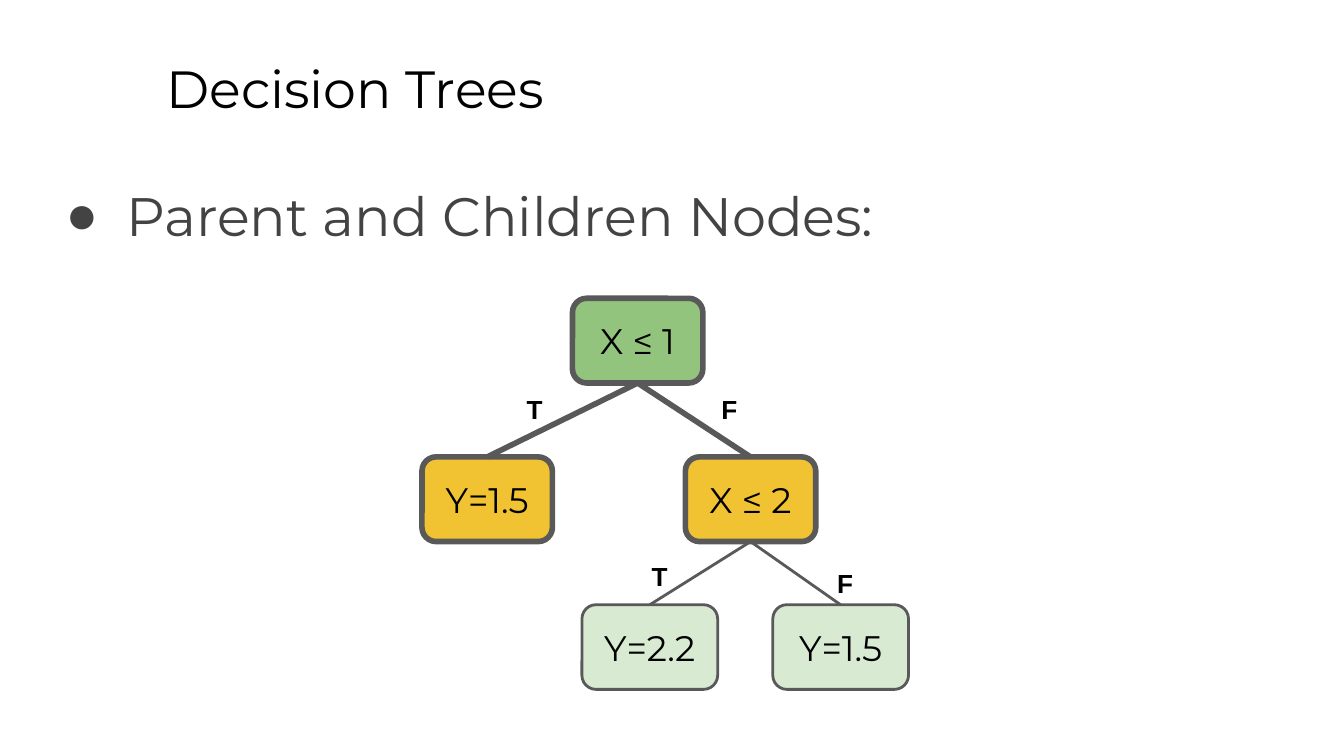
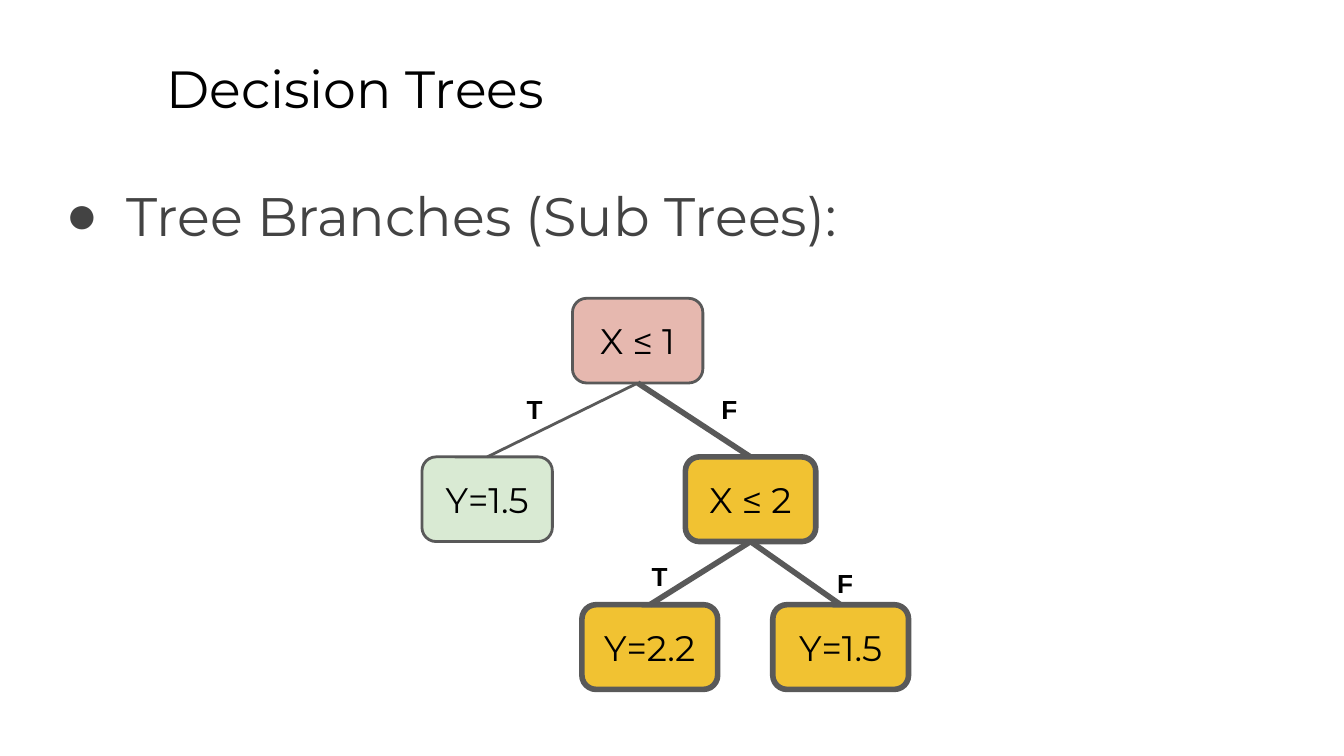
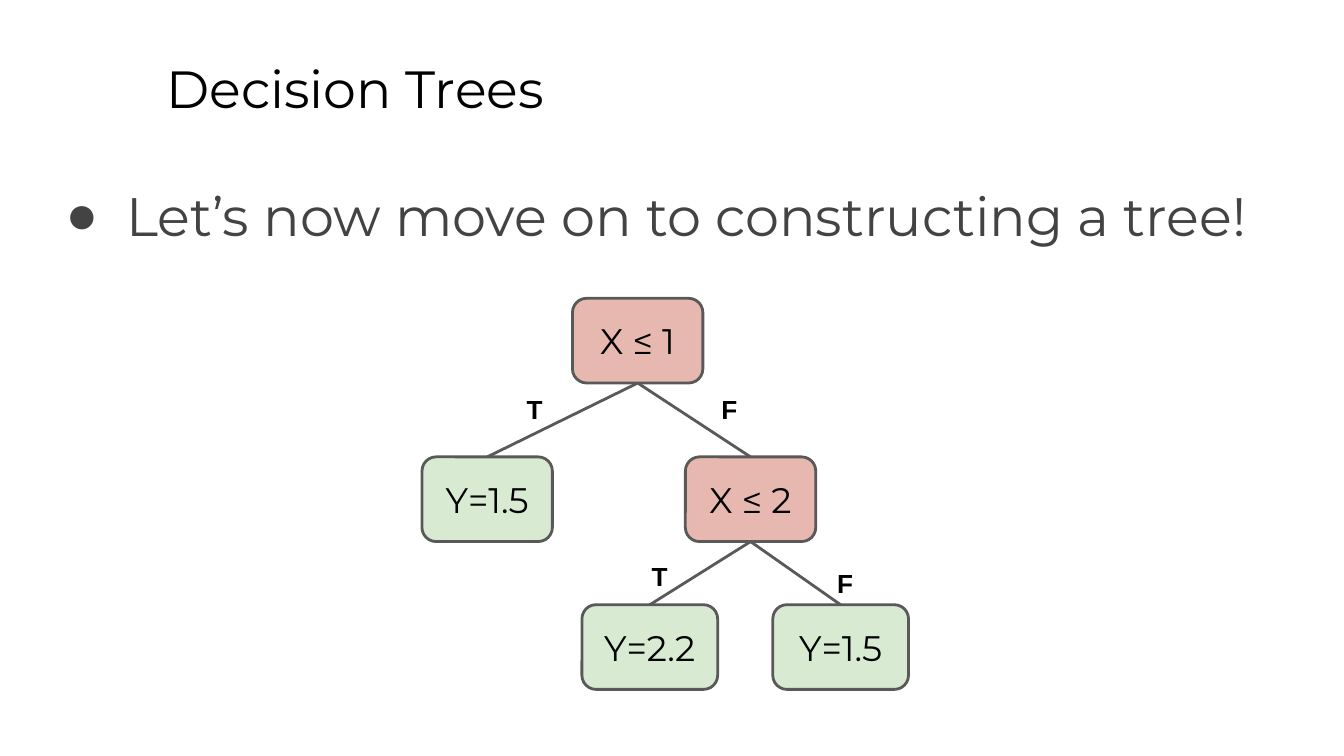
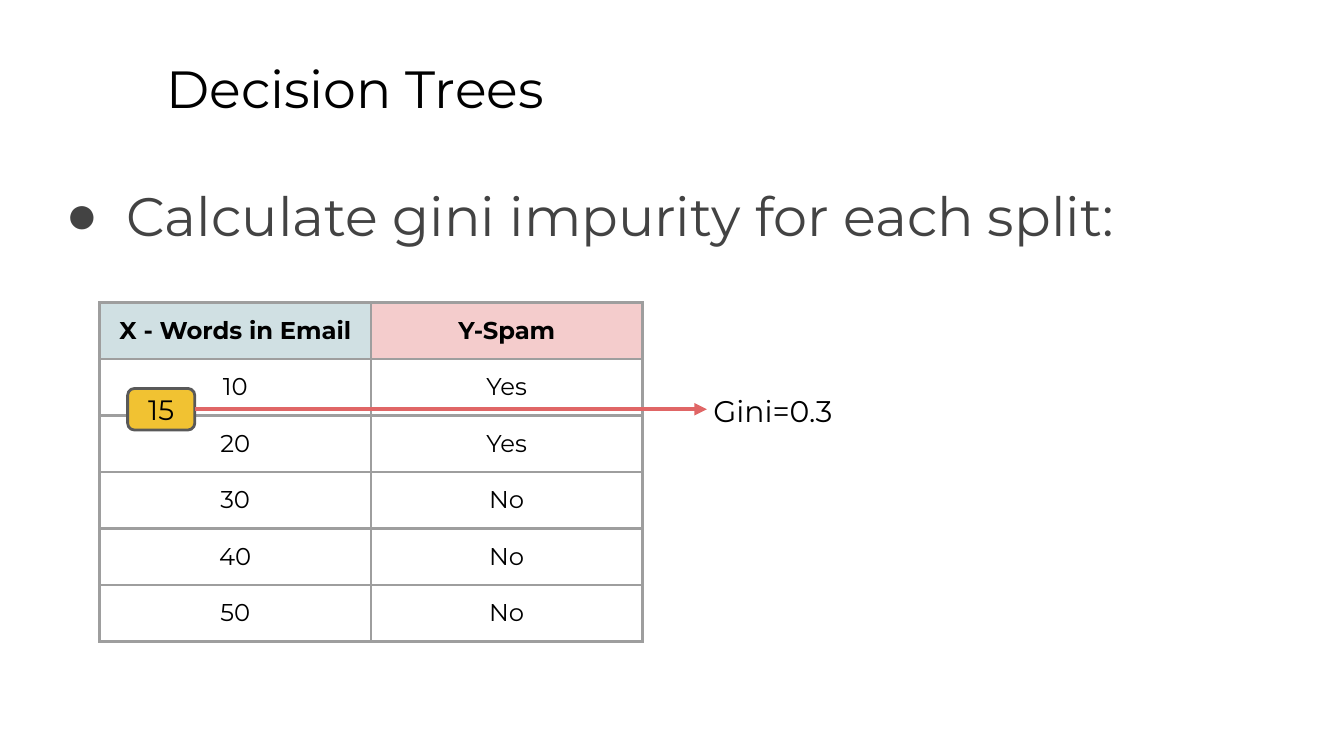
"""Build four decision tree slides."""
from lxml import etree
from pptx import Presentation
from pptx.dml.color import RGBColor
from pptx.enum.shapes import MSO_CONNECTOR, MSO_SHAPE
from pptx.enum.text import MSO_ANCHOR, MSO_AUTO_SIZE, PP_ALIGN
from pptx.oxml.ns import qn
from pptx.util import Emu, Pt

ROUNDED = MSO_SHAPE.ROUNDED_RECTANGLE
STRAIGHT = MSO_CONNECTOR.STRAIGHT
TOP, MIDDLE = MSO_ANCHOR.TOP, MSO_ANCHOR.MIDDLE
LEFT, CENTER = PP_ALIGN.LEFT, PP_ALIGN.CENTER
NO_AUTOFIT = MSO_AUTO_SIZE.NONE
SIDE_TOP, SIDE_BOTTOM, SIDE_RIGHT = 0, 2, 3

EMU_PER_PX = 9144
TITLE_ONLY = 5
MARGIN = 10
THIN, THICK = 1.5, 3
FONT, LABEL_FONT = "Montserrat", "Arial"
COLORS = {
    "text": "000000",
    "point": "434343",
    "outline": "595959",
    "parent": "93C47D",
    "highlight": "F1C232",
    "decision": "E6B8AF",
    "leaf": "D9EAD3",
    "grid": "9E9E9E",
    "feature": "D0E0E3",
    "target": "F4CCCC",
    "split": "E06666",
}

NODES = {
    "root": ("X ≤ 1", "decision", 426, 222, 97),
    "left": ("Y=1.5", "leaf", 314, 340, 97),
    "right": ("X ≤ 2", "decision", 510, 340, 97),
    "right_left": ("Y=2.2", "leaf", 433, 450, 101),
    "right_right": ("Y=1.5", "leaf", 575, 450, 101),
}
NODE_HEIGHT = 63
BRANCHES = [
    ("root", "left", "T", 382, 283),
    ("root", "right", "F", 527, 283),
    ("right", "right_left", "T", 475, 407),
    ("right", "right_right", "F", 613, 412),
]
TREE_SLIDES = [
    ("Parent and Children Nodes:",
     {"root": "parent", "left": "highlight", "right": "highlight"}),
    ("Tree Branches (Sub Trees):",
     dict.fromkeys(("right", "right_left", "right_right"), "highlight")),
    ("Let’s now move on to constructing a tree!", {}),
]
EMAILS = [
    ("X - Words in Email", "Y-Spam"),
    ("10", "Yes"),
    ("20", "Yes"),
    ("30", "No"),
    ("40", "No"),
    ("50", "No"),
]


def px(length):
    """Turn a length in px into EMU."""
    return Emu(length * EMU_PER_PX)


def rgb(color):
    """Return the named colour."""
    return RGBColor.from_string(COLORS[color])


def add_element(parent, tag, **attributes):
    """Append a drawing element to its parent."""
    return etree.SubElement(parent, qn(tag), attributes)


def set_margins(box):
    """Give a text frame or table cell the shared margins."""
    for side in ("left", "top", "right", "bottom"):
        setattr(box, f"margin_{side}", px(MARGIN))


def write_text(frame, text, *, size, font=FONT, color="text", bold=False,
               align=LEFT, bullet=None):
    """Write one formatted paragraph into a text frame."""
    paragraph = frame.paragraphs[0]
    paragraph.text = text
    paragraph.alignment = align
    if bullet:
        properties = paragraph._p.get_or_add_pPr()
        properties.set("marL", str(px(50)))
        properties.set("indent", str(px(-45)))
        bullet_color = add_element(properties, "a:buClr")
        add_element(bullet_color, "a:srgbClr", val=COLORS[color])
        add_element(properties, "a:buFont", typeface=LABEL_FONT)
        add_element(properties, "a:buChar", char=bullet)
    paragraph.font.name = font
    paragraph.font.size = Pt(size)
    paragraph.font.bold = bold
    paragraph.font.color.rgb = rgb(color)


def fill_frame(shape, text, anchor=TOP, **text_format):
    """Set up the text frame of a shape and write into it."""
    frame = shape.text_frame
    frame.word_wrap = True
    frame.auto_size = NO_AUTOFIT
    frame.vertical_anchor = anchor
    set_margins(frame)
    write_text(frame, text, **text_format)


def add_text(slide, text, left, top, width, height, **text_format):
    """Add a text box."""
    box = slide.shapes.add_textbox(px(left), px(top), px(width), px(height))
    fill_frame(box, text, **text_format)


def add_node(slide, text, left, top, width, height, fill, size=19, weight=THIN):
    """Add a rounded node with centred text."""
    node = slide.shapes.add_shape(
        ROUNDED, px(left), px(top), px(width), px(height))
    node.shadow.inherit = False
    node.fill.solid()
    node.fill.fore_color.rgb = rgb(fill)
    node.line.color.rgb = rgb("outline")
    node.line.width = Pt(weight)
    fill_frame(node, text, anchor=MIDDLE, size=size, align=CENTER)
    return node


def add_line(slide, start, start_side, end=(0, 0), color="outline", weight=THIN):
    """Add a line that leaves the side of a node."""
    line = slide.shapes.add_connector(STRAIGHT, 0, 0, px(end[0]), px(end[1]))
    line.begin_connect(start, start_side)
    line.line.color.rgb = rgb(color)
    line.line.width = Pt(weight)
    add_element(line._element.spPr, "a:effectLst")
    return line


def add_topic_slide(deck, point):
    """Add a slide with the shared title and one bullet point."""
    slide = deck.slides.add_slide(deck.slide_layouts[TITLE_ONLY])
    title = slide.shapes.title
    title.left, title.top, title.width, title.height = map(px, (114, 32, 852, 63))
    fill_frame(title, "Decision Trees", size=28)
    add_text(slide, point, 34, 126, 950, 374, size=29, color="point", bullet="●")
    return slide


def add_tree(slide, emphasis):
    """Draw the tree, with the emphasised nodes and their branches thick."""
    nodes = {}
    for key, (text, role, left, top, width) in NODES.items():
        nodes[key] = add_node(
            slide, text, left, top, width, NODE_HEIGHT,
            fill=emphasis.get(key, role),
            weight=THICK if key in emphasis else THIN)
    for parent, child, answer, left, top in BRANCHES:
        branch = add_line(slide, nodes[parent], SIDE_BOTTOM,
                          weight=THICK if child in emphasis else THIN)
        branch.end_connect(nodes[child], SIDE_TOP)
        add_text(slide, answer, left, top, 26, 20,
                 size=14, font=LABEL_FONT, bold=True)


def add_borders(cell):
    """Draw the four borders of a table cell."""
    properties = cell._tc.get_or_add_tcPr()
    for tag in ("a:lnL", "a:lnR", "a:lnT", "a:lnB"):
        border = add_element(properties, tag, w=str(Pt(THIN)))
        add_element(add_element(border, "a:solidFill"), "a:srgbClr",
                    val=COLORS["grid"])


def add_email_table(slide, left, top, column_width, row_height):
    """Add the table of emails."""
    rows, columns = len(EMAILS), len(EMAILS[0])
    table = slide.shapes.add_table(
        rows, columns, px(left), px(top),
        px(columns * column_width), px(rows * row_height)).table
    table.first_row = table.horz_banding = False
    for row, values in enumerate(EMAILS):
        for column, value in enumerate(values):
            cell = table.cell(row, column)
            set_margins(cell)
            add_borders(cell)
            if row == 0:
                cell.fill.solid()
                cell.fill.fore_color.rgb = rgb(("feature", "target")[column])
            else:
                cell.fill.background()
            write_text(cell.text_frame, value, size=13, bold=row == 0,
                       align=CENTER)


def add_split(slide):
    """Mark the split value and point to its gini impurity."""
    top, height = 289, 31
    threshold = add_node(slide, "15", 95, top, 50, height,
                         fill="highlight", size=15)
    arrow = add_line(slide, threshold, SIDE_RIGHT, end=(526, top + height / 2),
                     color="split", weight=2.25)
    add_element(arrow.line._get_or_add_ln(), "a:tailEnd", type="triangle")
    add_text(slide, "Gini=0.3", 521, 282, 132, 46, size=16)


def main():
    """Build and save the slides."""
    deck = Presentation()
    deck.slide_width = px(1000)
    deck.slide_height = deck.slide_width * 9 // 16
    for point, emphasis in TREE_SLIDES:
        add_tree(add_topic_slide(deck, point), emphasis)
    gini_slide = add_topic_slide(deck, "Calculate gini impurity for each split:")
    add_email_table(gini_slide, 74, 225, 202, 42)
    add_split(gini_slide)
    deck.save("out.pptx")


if __name__ == "__main__":
    main()
